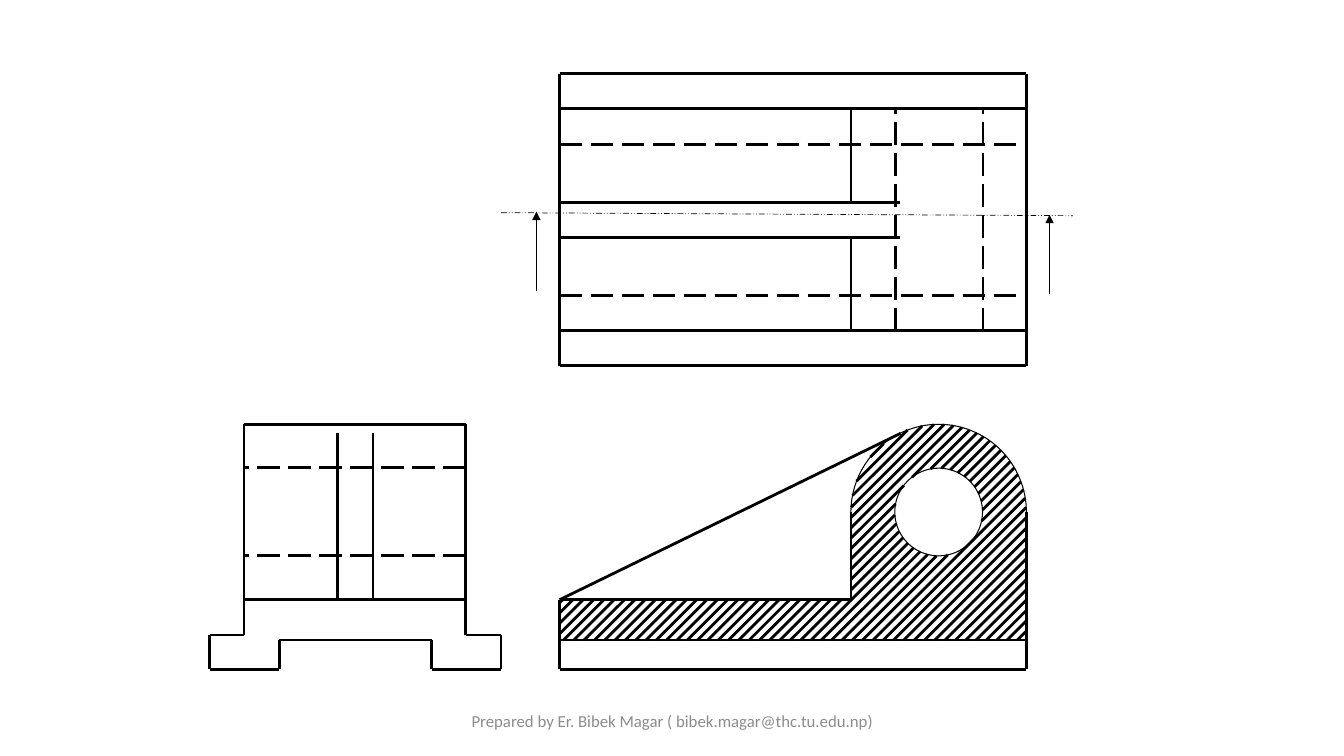
from dataclasses import dataclass
from itertools import pairwise
from math import cos, pi, sin, sqrt

from lxml import etree
from pptx import Presentation
from pptx.dml.color import RGBColor
from pptx.enum.dml import MSO_LINE
from pptx.enum.shapes import MSO_CONNECTOR
from pptx.enum.text import MSO_ANCHOR, PP_ALIGN
from pptx.oxml.ns import qn
from pptx.util import Inches, Pt

STRAIGHT = MSO_CONNECTOR.STRAIGHT
HIDDEN = MSO_LINE.LONG_DASH
CHAIN = MSO_LINE.DASH_DOT_DOT
MIDDLE = MSO_ANCHOR.MIDDLE
CENTER = PP_ALIGN.CENTER
BLACK, GREY = "000000", "8C8C8C"

# Columns of the plan and the section
LEFT, WALL, RIGHT = 5.55, 8.44, 10.18
HOLE_L, HOLE_R, TANGENT = 8.88, 9.75, 8.93
# Levels of the section and the side view
TOP, RIB, BORE_T, AXIS, BORE_B = 4.21, 4.3, 4.64, 5.08, 5.51
PLATE, FOOT, SLOT, BASE = 5.95, 6.3, 6.35, 6.64
# Levels of the plan
BACK, FRONT, RIB_T, RIB_B, EDGE_T, EDGE_B = 0.73, 3.63, 2.01, 2.36, 1.08, 3.28
# Columns of the side view
BODY_L, BODY_R = 2.42, 4.62
# Lug circles and hatch
MID, DOME, BORE = 9.31, 0.87, 0.435
FIRST, LAST, GAPS = 11.53, 16.44, 48

Point = tuple[float, float]


@dataclass(frozen=True)
class Edge:
    """A chain of straight lines through its points."""
    points: tuple[Point, ...]
    dash: MSO_LINE | None = None
    width: float = 0
    arrow: bool = False


def across(y: float, x1: float, x2: float, dash: MSO_LINE | None = None) -> Edge:
    return Edge(((x1, y), (x2, y)), dash)


def down(x: float, y1: float, y2: float, dash: MSO_LINE | None = None) -> Edge:
    return Edge(((x, y1), (x, y2)), dash)


SIGHT = [
    Edge(((4.97, 2.11), (10.64, 2.14)), CHAIN, 0.5),
    Edge(((10.41, 2.92), (10.41, 2.13)), None, 0.5, True),
    Edge(((5.32, 2.89), (5.32, 2.1)), None, 0.5, True),
]
PLAN = [
    Edge(((LEFT, FRONT), (LEFT, BACK), (RIGHT, BACK), (RIGHT, FRONT), (LEFT, FRONT))),
    *(across(y, LEFT, RIGHT) for y in (EDGE_T, EDGE_B)),
    *(across(y, LEFT, TANGENT) for y in (RIB_T, RIB_B)),
    *(across(y, LEFT, RIGHT, HIDDEN) for y in (1.43, 2.93)),
    *(down(x, EDGE_B, EDGE_T, HIDDEN) for x in (HOLE_L, HOLE_R)),
    down(WALL, EDGE_B, RIB_B),
    down(WALL, RIB_T, EDGE_T),
]
SIDE = [
    Edge(((BODY_L, PLATE), (BODY_L, FOOT), (2.08, FOOT), (2.08, BASE), (2.77, BASE),
          (2.77, SLOT), (4.28, SLOT), (4.28, BASE), (4.97, BASE), (4.97, FOOT),
          (BODY_R, FOOT), (BODY_R, PLATE))),
    Edge(((BODY_L, PLATE), (BODY_L, TOP), (BODY_R, TOP), (BODY_R, PLATE), (BODY_L, PLATE))),
    *(down(x, PLATE, RIB) for x in (3.35, 3.7)),
    *(across(y, BODY_R, BODY_L, HIDDEN) for y in (BORE_T, BORE_B)),
]
SECTION = [
    Edge(((WALL, AXIS), (WALL, PLATE), (LEFT, PLATE), (LEFT, BASE), (RIGHT, BASE),
          (RIGHT, AXIS))),
    Edge(((LEFT, PLATE), (TANGENT, RIB))),
    across(SLOT, LEFT, RIGHT),
]


def chord(total: float, radius: float) -> Point | None:
    """Give the x range where the line x + y = total cuts a lug circle."""
    off = total - MID - AXIS
    room = radius ** 2 - off ** 2 / 2
    if room <= 0:
        return None
    half = sqrt(room / 2)
    return MID + off / 2 - half, MID + off / 2 + half


def spans(total: float) -> list[Point]:
    """Give the x ranges of one hatch line inside the cut metal."""
    start = max(LEFT, total - SLOT)
    arc = chord(total, DOME)
    out = []
    if total < WALL + PLATE:
        out.append((start, total - PLATE))
        if not arc:
            return out
        start = WALL if total - WALL >= AXIS else arc[0]
    end = arc[1] if arc and total - RIGHT < AXIS else RIGHT
    hole = chord(total, BORE)
    if hole:
        return out + [(start, hole[0]), (hole[1], end)]
    return out + [(start, end)]


def hatch() -> list[Edge]:
    step = (LAST - FIRST) / GAPS
    sums = [FIRST + i * step for i in range(GAPS + 1)]
    return [Edge(((a, c - a), (b, c - b))) for c in sums for a, b in spans(c)]


def color(code: str) -> RGBColor:
    return RGBColor.from_string(code)


def draw(shapes, edge: Edge) -> None:
    for (x1, y1), (x2, y2) in pairwise(edge.points):
        link = shapes.add_connector(STRAIGHT, Inches(x1), Inches(y1), Inches(x2), Inches(y2))
        link.line.color.rgb = color(BLACK)
        link.line.width = Pt(edge.width)
        if edge.dash:
            link.line.dash_style = edge.dash
        props = link._element.spPr
        if edge.arrow:
            etree.SubElement(props.find(qn("a:ln")), qn("a:tailEnd"), type="triangle")
        etree.SubElement(props, qn("a:effectLst"))


def curve(shapes, radius: float, turn: float, steps: int, close: bool) -> None:
    """Draw an arc about the lug axis, from the right and over the top."""
    angles = [turn * i / steps for i in range(steps + 1)]
    dots = [(Inches(MID + radius * cos(a)), Inches(AXIS - radius * sin(a))) for a in angles]
    form = shapes.build_freeform(*dots[0], scale=1.0)
    form.add_line_segments(dots[1:], close=close)
    shape = form.convert_to_shape()
    shape.shadow.inherit = False
    shape.fill.background()
    shape.line.color.rgb = color(BLACK)
    shape.line.width = Pt(0)


def footer(shapes, text: str) -> None:
    box = shapes.add_textbox(Inches(4.42), Inches(6.95), Inches(4.5), Inches(0.4))
    frame = box.text_frame
    for name, value in {"word_wrap": True, "vertical_anchor": MIDDLE}.items():
        setattr(frame, name, value)
    para = frame.paragraphs[0]
    para.alignment = CENTER
    run = para.add_run()
    run.text = text
    for name, value in {"name": "Calibri", "size": Pt(12)}.items():
        setattr(run.font, name, value)
    run.font.color.rgb = color(GREY)


def main() -> None:
    deck = Presentation()
    deck.slide_width, deck.slide_height = Inches(13.33), Inches(7.5)
    shapes = deck.slides.add_slide(deck.slide_layouts[6]).shapes
    footer(shapes, "Prepared by Er. Bibek Magar ( bibek.magar@thc.tu.edu.np)")
    for edge in SIGHT + hatch() + SECTION + SIDE + PLAN:
        draw(shapes, edge)
    curve(shapes, DOME, pi, 64, False)
    curve(shapes, BORE, 2 * pi, 90, True)
    deck.save("out.pptx")


if __name__ == "__main__":
    main()
